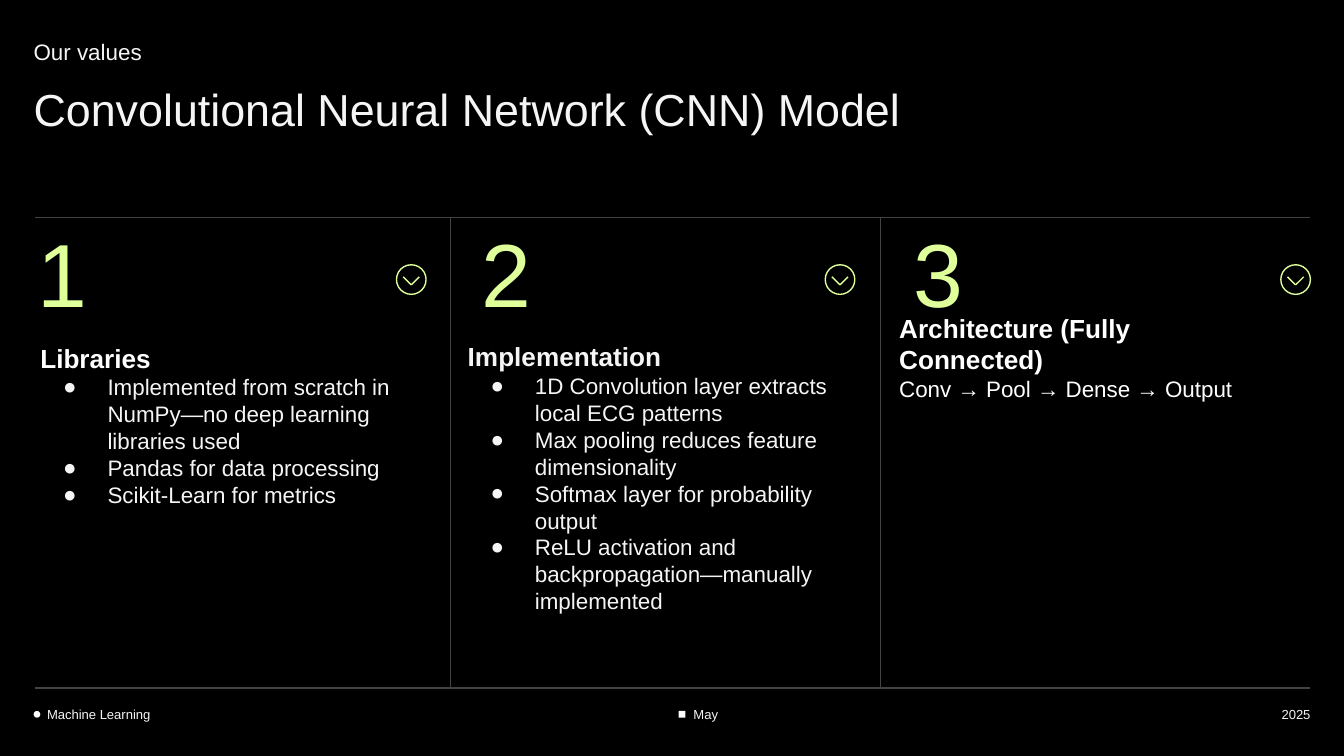
from dataclasses import dataclass

from lxml.etree import SubElement
from pptx import Presentation
from pptx.dml.color import RGBColor
from pptx.enum.shapes import MSO_CONNECTOR, MSO_SHAPE
from pptx.enum.text import MSO_ANCHOR, PP_ALIGN
from pptx.oxml.ns import qn
from pptx.util import Inches, Pt

COLORS = {
    "background": "000000",
    "white": "FFFFFF",
    "text": "F5F5F5",
    "accent": "DEFF9A",
    "rule": "434343",
}
FONT = "Arial"
TOP, BOTTOM = 1.62, 5.12
LEFT, RIGHT = 0.26, 9.75


@dataclass
class Line:
    text: str
    size: float = 12
    color: str = "text"
    bold: bool = False
    bullet: bool = False


@dataclass
class Column:
    number: str
    number_left: float
    icon_left: float
    body: tuple[float, float, float, float]
    lines: list[Line]


COLUMNS = [
    Column("1", 0.28, 2.95, (0.3, 2.58, 2.91, 1.3), [
        Line("Libraries", 14, "white", bold=True),
        Line("Implemented from scratch in NumPy—no deep learning libraries used", bullet=True),
        Line("Pandas for data processing", bullet=True),
        Line("Scikit-Learn for metrics", bullet=True),
    ]),
    Column("2", 3.58, 6.14, (3.48, 1.8, 3.08, 2.87), [
        Line("Implementation", 14, bold=True),
        Line("1D Convolution layer extracts local ECG patterns", bullet=True),
        Line("Max pooling reduces feature dimensionality", bullet=True),
        Line("Softmax layer for probability output", bullet=True),
        Line("ReLU activation and backpropagation—manually implemented", bullet=True),
    ]),
    Column("3", 6.8, 9.53, (6.69, 2.22, 2.91, 0.87), [
        Line("Architecture (Fully Connected)", 14, "white", bold=True),
        Line("Conv → Pool → Dense → Output", color="white"),
    ]),
]


def rgb(name: str) -> RGBColor:
    return RGBColor.from_string(COLORS[name])


def add_bullet(para) -> None:
    properties = para._p.get_or_add_pPr()
    properties.set("marL", str(Inches(0.5)))
    properties.set("indent", str(Inches(-0.33)))
    color = SubElement(properties, qn("a:buClr"))
    SubElement(color, qn("a:srgbClr"), val=COLORS["text"])
    SubElement(properties, qn("a:buFont"), typeface=FONT)
    SubElement(properties, qn("a:buChar"), char="●")


def add_text(page, lines: list[Line], left: float, top: float, width: float, height: float, *,
             spacing: float = 1.15, anchor=MSO_ANCHOR.TOP, align=PP_ALIGN.LEFT,
             inset: float = 0) -> None:
    box = page.shapes.add_textbox(Inches(left), Inches(top), Inches(width), Inches(height))
    frame = box.text_frame
    frame.word_wrap = True
    frame.vertical_anchor = anchor
    frame.margin_left = frame.margin_top = 0
    frame.margin_right = frame.margin_bottom = Inches(inset)
    for index, line in enumerate(lines):
        para = frame.add_paragraph() if index else frame.paragraphs[0]
        if line.bullet:
            add_bullet(para)
        para.line_spacing = spacing
        para.alignment = align
        span = para.add_run()
        span.text = line.text
        span.font.name = FONT
        span.font.size = Pt(line.size)
        span.font.bold = line.bold
        span.font.color.rgb = rgb(line.color)


def add_line(shapes, x1: float, y1: float, x2: float, y2: float, color: str = "rule") -> None:
    line = shapes.add_connector(MSO_CONNECTOR.STRAIGHT,
                                Inches(x1), Inches(y1), Inches(x2), Inches(y2))
    line.line.color.rgb = rgb(color)
    line.line.width = Pt(0.75)
    SubElement(line._element.spPr, qn("a:effectLst"))


def add_marker(page, kind, left: float) -> None:
    marker = page.shapes.add_shape(kind, Inches(left), Inches(5.29), Inches(0.05), Inches(0.05))
    marker.shadow.inherit = False
    marker.fill.solid()
    marker.fill.fore_color.rgb = rgb("white")
    marker.line.fill.background()


def add_icon(page, left: float, top: float = 1.97, size: float = 0.22) -> None:
    shapes = page.shapes.add_group_shape().shapes
    circle = shapes.add_shape(MSO_SHAPE.OVAL, Inches(left), Inches(top), Inches(size), Inches(size))
    circle.shadow.inherit = False
    circle.fill.background()
    circle.line.color.rgb = rgb("accent")
    circle.line.width = Pt(0.75)
    center = left + size / 2
    for side in (-0.06, 0.06):
        add_line(shapes, center + side, top + 0.09, center, top + 0.15, "accent")


def add_column(page, column: Column) -> None:
    add_icon(page, column.icon_left)
    add_text(page, [Line(column.number, 48, "accent")], column.number_left, TOP, 1.23, 1.3,
             spacing=1.0, inset=0.1)
    add_text(page, column.lines, *column.body, spacing=1.0,
             anchor=MSO_ANCHOR.BOTTOM, inset=0.1)


def main() -> None:
    deck = Presentation()
    deck.slide_width = Inches(10)
    deck.slide_height = Inches(10 * 9 / 16)
    page = deck.slides.add_slide(deck.slide_layouts[6])
    page.background.fill.solid()
    page.background.fill.fore_color.rgb = rgb("background")

    for y in (TOP, BOTTOM):
        add_line(page.shapes, LEFT, y, RIGHT, y)
    for x in (3.35, 6.55):
        add_line(page.shapes, x, TOP, x, BOTTOM)

    add_text(page, [Line("Our values")], 0.25, 0.25, 3.19, 0.25)
    add_text(page, [Line("Convolutional Neural Network (CNN) Model", 24)],
             0.25, 0.67, 7.9, 0.44, spacing=0.85, inset=0.1)

    for column in COLUMNS:
        add_column(page, column)

    add_marker(page, MSO_SHAPE.OVAL, 0.25)
    add_marker(page, MSO_SHAPE.RECTANGLE, 5.05)
    for text, left, width, align in (
        ("Machine Learning", 0.35, 2.95, PP_ALIGN.LEFT),
        ("May", 5.16, 2.51, PP_ALIGN.LEFT),
        ("2025", 7.5, 2.25, PP_ALIGN.RIGHT),
    ):
        add_text(page, [Line(text, 7)], left, 5.11, width, 0.26,
                 anchor=MSO_ANCHOR.BOTTOM, align=align)

    deck.save("out.pptx")


if __name__ == "__main__":
    main()
